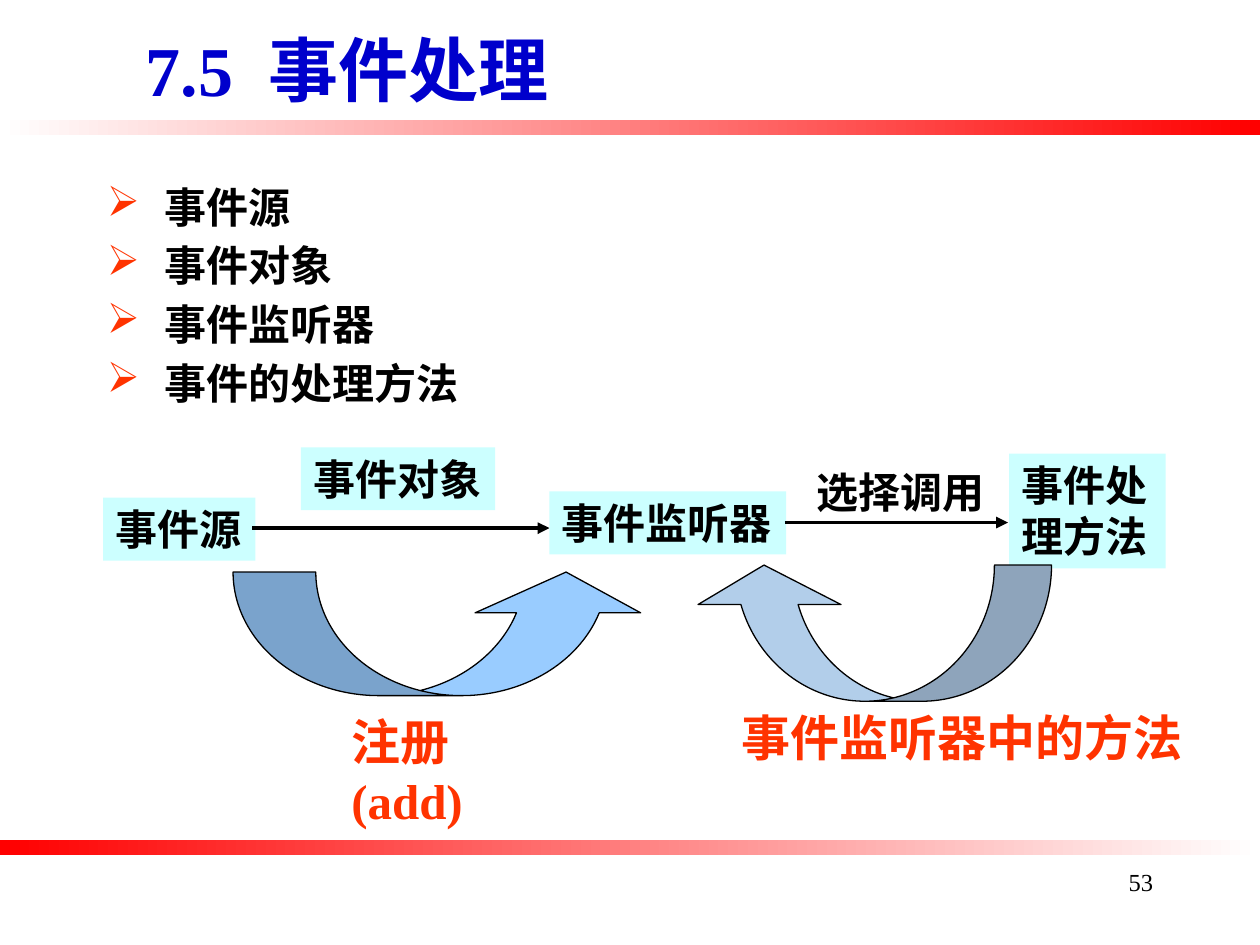
from dataclasses import dataclass

from lxml.etree import SubElement
from pptx import Presentation
from pptx.dml.color import RGBColor
from pptx.enum.shapes import MSO_CONNECTOR as CONN, MSO_SHAPE as SHAPE
from pptx.enum.text import MSO_ANCHOR as ANCHOR, PP_ALIGN as ALIGN
from pptx.oxml.ns import qn
from pptx.util import Pt


@dataclass(frozen=True)
class Theme:
    """Colours, font and type sizes of the slide."""
    font: str = "Times New Roman"
    title: str = "0000CC"
    accent: str = "FF3300"
    band: str = "FF0000"
    paper: str = "FFFFFF"
    ink: str = "000000"
    node: str = "CCFFFF"
    register: str = "99CCFF"
    callback: str = "B2CEEA"
    title_size: float = 40
    caption_size: float = 28
    body_size: float = 24
    number_size: float = 14


T = Theme()


def rgb(value):
    """Return a colour object for a hex string."""
    return RGBColor.from_string(value)


def place(box, x, y, w, h):
    """Return a part's absolute frame inside a box, as lengths."""
    return Pt(box[0] + x), Pt(box[1] + y), Pt(w), Pt(h)


def style(p, size, color=T.ink, bold=True):
    """Format every run of a paragraph."""
    for r in p.runs:
        r.font.name, r.font.size, r.font.bold = T.font, Pt(size), bold
        r.font.color.rgb = rgb(color)


def add_text(slide, frame, text, size, color=T.ink, bold=True, wrap=False):
    """Add a top-anchored text box and return its text frame."""
    tf = slide.shapes.add_textbox(*frame).text_frame
    tf.word_wrap = wrap
    tf.text = text
    for p in tf.paragraphs:
        style(p, size, color, bold)
    return tf


def add_preset(slide, kind, frame, fill, line=None):
    """Add a flat preset shape with a solid fill and an optional outline."""
    sp = slide.shapes.add_shape(kind, *frame)
    sp.shadow.inherit = False
    sp.fill.solid()
    sp.fill.fore_color.rgb = rgb(fill)
    if line:
        sp.line.color.rgb = rgb(line)
        sp.line.width = Pt(0.75)
    else:
        sp.line.fill.background()
    return sp


def add_node(slide, frame, text, wrap=False):
    """Add a tinted box with a left-aligned label."""
    tf = add_preset(slide, SHAPE.RECTANGLE, frame, T.node).text_frame
    tf.word_wrap, tf.vertical_anchor = wrap, ANCHOR.TOP
    tf.text = text
    tf.paragraphs[0].alignment = ALIGN.LEFT
    style(tf.paragraphs[0], T.body_size)


def add_arrow(slide, box, x1, x2, y):
    """Add a horizontal line with a triangle at its right end."""
    x, y, w, _ = place(box, x1, y, x2 - x1, 0)
    line = slide.shapes.add_connector(CONN.STRAIGHT, x, y, x + w, y)
    line.line.color.rgb = rgb(T.ink)
    line.line.width = Pt(2.25)
    SubElement(line.line._get_or_add_ln(), qn("a:tailEnd"), type="triangle")
    SubElement(line._element.spPr, qn("a:effectLst"))


def add_curve(slide, kind, frame, fill, adjustments, rotation=0):
    """Add an outlined curved arrow."""
    sp = add_preset(slide, kind, frame, fill, T.ink)
    sp.rotation = rotation
    for i, value in enumerate(adjustments):
        sp.adjustments[i] = value


def add_band(slide, box, start, end):
    """Fill a box with a left-to-right gradient."""
    sp = add_preset(slide, SHAPE.RECTANGLE, place(box, 0, 0, *box[2:]), start)
    sp.fill.gradient()
    sp.fill.gradient_angle = 0
    for stop, color in zip(sp.fill.gradient_stops, (start, end)):
        stop.color.rgb = rgb(color)


def add_title(slide, box, number, heading):
    """Place the section number and heading with a wide gap between them."""
    tf = add_text(slide, place(box, 0, 0, *box[2:]), number, T.title_size, wrap=True)
    tf.vertical_anchor = ANCHOR.MIDDLE
    p = tf.paragraphs[0]
    gap = p.add_run()
    gap.text = " "
    gap._r.get_or_add_rPr().set("spc", "1000")
    p.add_run().text = heading
    style(p, T.title_size, T.title)


def add_bullets(slide, box, items):
    """Place the list of terms with arrow bullets."""
    tf = add_text(slide, place(box, 0, 0, *box[2:]), "\n".join(items), T.body_size, wrap=True)
    for i, p in enumerate(tf.paragraphs):
        p.space_before = Pt(0.2 * T.body_size if i else 0)
        pPr = p._p.get_or_add_pPr()
        pPr.set("marL", str(Pt(33)))
        pPr.set("indent", str(-Pt(33)))
        SubElement(SubElement(pPr, qn("a:buClr")), qn("a:srgbClr"), val=T.accent)
        SubElement(pPr, qn("a:buChar"), char="➢")


def add_diagram(slide, box):
    """Place the event flow from source through listener to handler."""
    add_node(slide, place(box, 0, 29.4, 87, 36), "事件源")
    add_arrow(slide, box, 85, 255, 46.8)
    add_node(slide, place(box, 113, 0.6, 111, 36), "事件对象")
    add_node(slide, place(box, 255, 25.8, 135.2, 36), "事件监听器")
    add_arrow(slide, box, 389.5, 517, 43.6)
    add_text(slide, place(box, 400.4, 7.8, 111, 36), "选择调用", T.body_size)
    add_node(slide, place(box, 517.7, 4.2, 89.4, 65.6), "事件处理方法", wrap=True)

    add_curve(slide, SHAPE.CURVED_UP_ARROW, place(box, 74.2, 71.9, 237.6, 70.6),
              T.register, (0.67, 1.34, 0.33))
    tf = add_text(slide, place(box, 134.7, 148.2, 134.6, 41), "注册(add)",
                  T.caption_size, T.accent, wrap=True)
    tf.margin_right = Pt(36)
    add_curve(slide, SHAPE.CURVED_LEFT_ARROW, place(box, 400.4, 4.2, 77.8, 205.2),
              T.callback, (0.42, 1.05, 0.29), rotation=90)
    add_text(slide, place(box, 357.9, 146, 267.8, 41), "事件监听器中的方法",
             T.caption_size, T.accent)


def add_number(slide, box, number):
    """Place the right-aligned page number."""
    tf = add_text(slide, place(box, 0, 0, *box[2:]), number, T.number_size,
                  bold=False, wrap=True)
    tf.paragraphs[0].alignment = ALIGN.RIGHT


def main():
    """Build the slide and save it."""
    prs = Presentation()
    prs.slide_width, prs.slide_height = Pt(720), Pt(540)
    slide = prs.slides.add_slide(prs.slide_layouts[6])
    slide.background.fill.solid()
    slide.background.fill.fore_color.rgb = rgb(T.paper)
    add_band(slide, (0, 68.4, 720, 9), T.paper, T.band)
    add_band(slide, (0, 479.8, 720, 9), T.band, T.paper)
    add_title(slide, (76.3, 15, 581, 48), "7.5", "事件处理")
    add_number(slide, (516, 492, 150, 36), "53")
    add_bullets(slide, (54, 100, 612, 376.6),
                ("事件源", "事件对象", "事件监听器", "事件的处理方法"))
    add_diagram(slide, (59, 255, 626, 190))
    prs.save("out.pptx")


if __name__ == "__main__":
    main()
